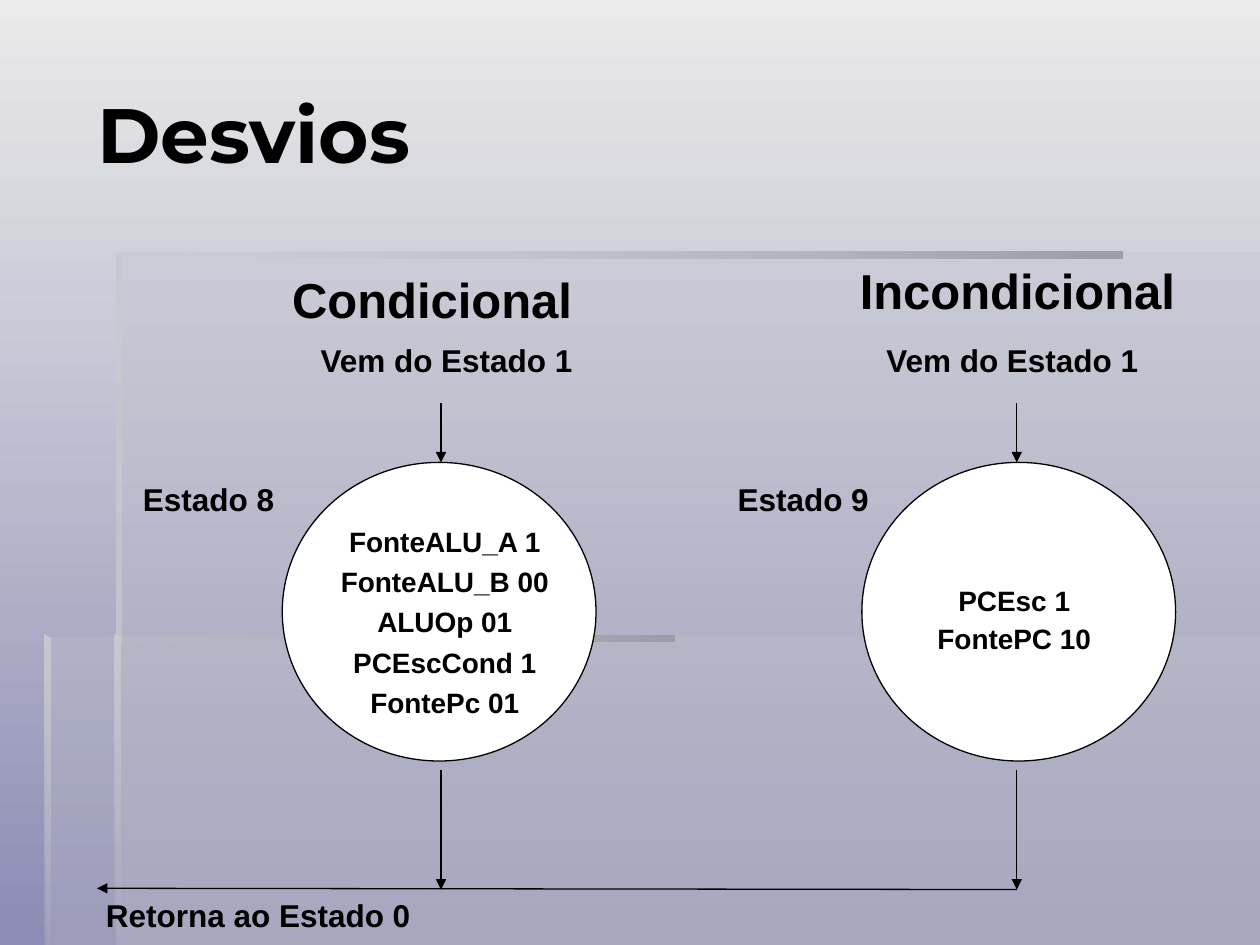
from dataclasses import dataclass

from lxml import etree
from pptx import Presentation
from pptx.dml.color import RGBColor
from pptx.enum.shapes import MSO_CONNECTOR, MSO_SHAPE
from pptx.enum.text import MSO_ANCHOR, PP_ALIGN
from pptx.oxml.ns import qn
from pptx.slide import Slide
from pptx.util import Inches, Pt

LEFT, CENTER = PP_ALIGN.LEFT, PP_ALIGN.CENTER
TOP, MIDDLE = MSO_ANCHOR.TOP, MSO_ANCHOR.MIDDLE
STRAIGHT = MSO_CONNECTOR.STRAIGHT
OVAL = MSO_SHAPE.OVAL

BLACK = RGBColor(0x00, 0x00, 0x00)
WHITE = RGBColor(0xFF, 0xFF, 0xFF)
SKY = RGBColor(0xEA, 0xEA, 0xEA)
LAVENDER = RGBColor(0x8C, 0x8C, 0xB4)
PANEL = RGBColor(0xC1, 0xC2, 0xCB)
EDGE_DARK = RGBColor(0x9D, 0x9E, 0xA5)
EDGE_LIGHT = RGBColor(0xC7, 0xC8, 0xD0)

DOWNWARD, LEFTWARD = 270, 180


@dataclass
class Painter:
    """Draws styled elements on the current slide."""

    page: Slide
    body_font: str = "Arial"
    title_font: str = "Montserrat"
    line_width: float = 0.75

    def gradient(self, fill, start, end, angle):
        fill.gradient()
        fill.gradient_angle = angle
        for stop, color in zip(fill.gradient_stops, (start, end)):
            stop.color.rgb = color

    def set_text(self, frame, lines, size, font, align, anchor, spacing=None):
        frame.word_wrap = True
        frame.vertical_anchor = anchor
        frame.text = "\n".join(lines)
        style = {"name": font, "size": Pt(size), "bold": True}
        for para in frame.paragraphs:
            para.alignment = align
            para.line_spacing = spacing
            for span in para.runs:
                for key, value in style.items():
                    setattr(span.font, key, value)
                span.font.color.rgb = BLACK

    def title(self, text, left, top, width, height):
        box = self.page.shapes.title
        place = {"left": left, "top": top, "width": width, "height": height}
        for key, value in place.items():
            setattr(box, key, Inches(value))
        self.set_text(box.text_frame, [text], 44, self.title_font, LEFT, MIDDLE)

    def label(self, lines, left, top, width, height, size=18, spacing=None):
        box = self.page.shapes.add_textbox(*map(Inches, (left, top, width, height)))
        self.set_text(box.text_frame, lines, size, self.body_font, CENTER, TOP, spacing)

    def panel(self, points, opacity, start=PANEL, angle=None):
        corners = [(Inches(x), Inches(y)) for x, y in points]
        builder = self.page.shapes.build_freeform(*corners[0])
        builder.add_line_segments(corners[1:], close=True)
        shape = builder.convert_to_shape()
        shape.shadow.inherit = False
        shape.line.fill.background()
        if angle is None:
            shape.fill.solid()
            shape.fill.fore_color.rgb = start
        else:
            self.gradient(shape.fill, start, PANEL, angle)
        last_color = list(shape._element.spPr.iter(qn("a:srgbClr")))[-1]
        etree.SubElement(last_color, qn("a:alpha"), val=str(opacity * 1000))

    def state(self, left, top, width, height):
        shape = self.page.shapes.add_shape(OVAL, *map(Inches, (left, top, width, height)))
        shape.shadow.inherit = False
        shape.fill.solid()
        shape.fill.fore_color.rgb = WHITE
        shape.line.color.rgb = BLACK
        shape.line.width = Pt(self.line_width)

    def arrow(self, start_x, start_y, end_x, end_y, tip="a:tailEnd"):
        ends = map(Inches, (start_x, start_y, end_x, end_y))
        connector = self.page.shapes.add_connector(STRAIGHT, *ends)
        connector.line.color.rgb = BLACK
        connector.line.width = Pt(self.line_width)
        properties = connector._element.spPr
        etree.SubElement(properties.find(qn("a:ln")), qn(tip), type="triangle")
        etree.SubElement(properties, qn("a:effectLst"))


def main():
    deck = Presentation()
    deck.slide_width, deck.slide_height = Inches(10), Inches(7.5)
    page = deck.slides.add_slide(deck.slide_layouts[5])
    painter = Painter(page)
    painter.gradient(page.background.fill, SKY, LAVENDER, DOWNWARD)

    painter.panel([(0.92, 5.05), (0.92, 7.5), (10, 7.5), (10, 5.05)], 30)
    painter.panel([(0.94, 5.06), (0.36, 5.06), (0.36, 7.5), (10, 7.5), (10, 2), (0.94, 2)], 30)
    for left, top, right in ((0.92, 2, 8.91), (0.35, 5.04, 5.35)):
        bar = [(left, top), (left, top + 0.05), (right, top + 0.05), (right, top)]
        painter.panel(bar, 0, EDGE_DARK, LEFTWARD)
    for left, top, bottom, opacity in (
        (0.92, 2, 5.1, 100), (0.91, 5.04, 7.5, 0), (0.35, 5.04, 7.5, 10),
    ):
        bevel = [(left, top), (left, bottom), (left + 0.05, bottom), (left + 0.05, top + 0.04)]
        painter.panel(bevel, opacity, EDGE_LIGHT, DOWNWARD)

    painter.title("Desvios", 0.67, 0.27, 9.21, 1.57)
    painter.label(["Condicional"], 2.01, 2.09, 2.84, 0.8, size=28)
    painter.label(["Incondicional"], 6.5, 2.02, 3.15, 0.79, size=28)

    for name, name_left, origin_left, state_left, arrow_x in (
        ("Estado 8", 0.75, 1.93, 2.24, 3.5),
        ("Estado 9", 5.47, 6.42, 6.84, 8.07),
    ):
        painter.state(state_left, 3.67, 2.49, 2.37)
        painter.label(["Vem do Estado 1"], origin_left, 2.66, 3.23, 0.62)
        painter.label([name], name_left, 3.76, 1.81, 0.62)
        painter.arrow(arrow_x, 3.2, arrow_x, 3.67)
        painter.arrow(arrow_x, 6.11, arrow_x, 7.06)

    conditional = ["FonteALU_A 1", "FonteALU_B 00", "ALUOp 01", "PCEscCond 1", "FontePc 01"]
    painter.label(conditional, 2.22, 4.06, 2.62, 1.65, size=16, spacing=1.2)
    painter.label(["PCEsc 1", "FontePC 10"], 6.81, 4.54, 2.48, 1.1, size=16, spacing=1.15)

    painter.arrow(0.77, 7.05, 8.07, 7.06, tip="a:headEnd")
    painter.label(["Retorna ao Estado 0"], 0.67, 7.06, 2.76, 0.47)
    deck.save("out.pptx")


if __name__ == "__main__":
    main()
